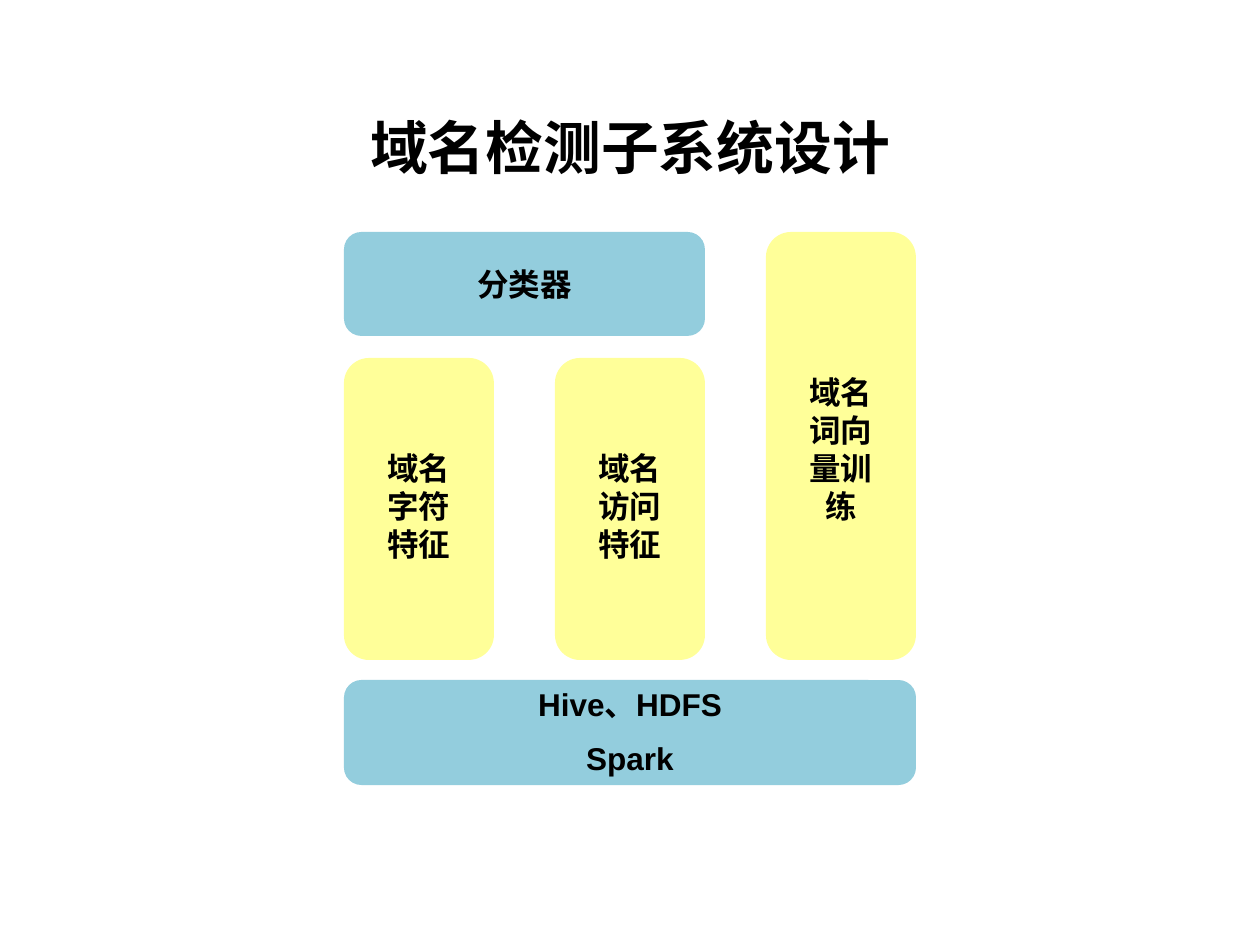
from pptx import Presentation
from pptx.dml.color import RGBColor
from pptx.enum.shapes import MSO_SHAPE
from pptx.enum.text import MSO_ANCHOR, PP_ALIGN
from pptx.util import Pt

ROUND = MSO_SHAPE.ROUNDED_RECTANGLE
TOP, MIDDLE = MSO_ANCHOR.TOP, MSO_ANCHOR.MIDDLE
CENTER = PP_ALIGN.CENTER
BLACK = RGBColor(0x00, 0x00, 0x00)
BLUE = RGBColor(0x93, 0xCD, 0xDD)
YELLOW = RGBColor(0xFF, 0xFF, 0x99)
PX = 914400 // 126


def style(para, size):
    para.alignment = CENTER
    font = para.font
    font.name = "Arial"
    font.size = Pt(size)
    font.bold = True
    font.color.rgb = BLACK


deck = Presentation()
deck.slide_width = 1260 * PX
deck.slide_height = 945 * PX
slide = deck.slides.add_slide(deck.slide_layouts[5])

# Title
title = slide.shapes.title
title.left, title.top, title.width, title.height = (
    n * PX for n in (63, 96, 1134, 100))
title.text_frame.text = "域名检测子系统设计"
title.text_frame.vertical_anchor = MIDDLE
style(title.text_frame.paragraphs[0], 33)

# Three columns of modules above a shared base
LEFT, WIDE, STEP = 344, 150, 211
HEAD, BODY, BASE, FOOT = 232, 358, 680, 660
col = [LEFT + i * STEP for i in range(3)]

# Text, x, y, width, height, fill, anchor, side inset, top inset
blocks = [
    ("Hive、HDFS\nSpark", col[0], BASE, 2 * STEP + WIDE, 105, BLUE, TOP, 0, 0),
    ("域名字符特征", col[0], BODY, WIDE, FOOT - BODY, YELLOW, TOP, 25, 84),
    ("域名访问特征", col[1], BODY, WIDE, FOOT - BODY, YELLOW, TOP, 25, 84),
    ("域名词向量训练", col[2], HEAD, WIDE, FOOT - HEAD, YELLOW, TOP, 25, 134),
    ("分类器", col[0], HEAD, STEP + WIDE, 104, BLUE, MIDDLE, 0, 0),
]
for text, x, y, w, h, fill, anchor, side, top in blocks:
    box = slide.shapes.add_shape(ROUND, x * PX, y * PX, w * PX, h * PX)
    box.shadow.inherit = False
    box.fill.solid()
    box.fill.fore_color.rgb = fill
    box.line.fill.background()
    frame = box.text_frame
    frame.word_wrap = True
    frame.vertical_anchor = anchor
    frame.margin_left = frame.margin_right = side * PX
    frame.margin_top, frame.margin_bottom = top * PX, 0
    frame.text = text
    for para in frame.paragraphs:
        style(para, 18)
        para.space_before = Pt(9)

deck.save("out.pptx")
